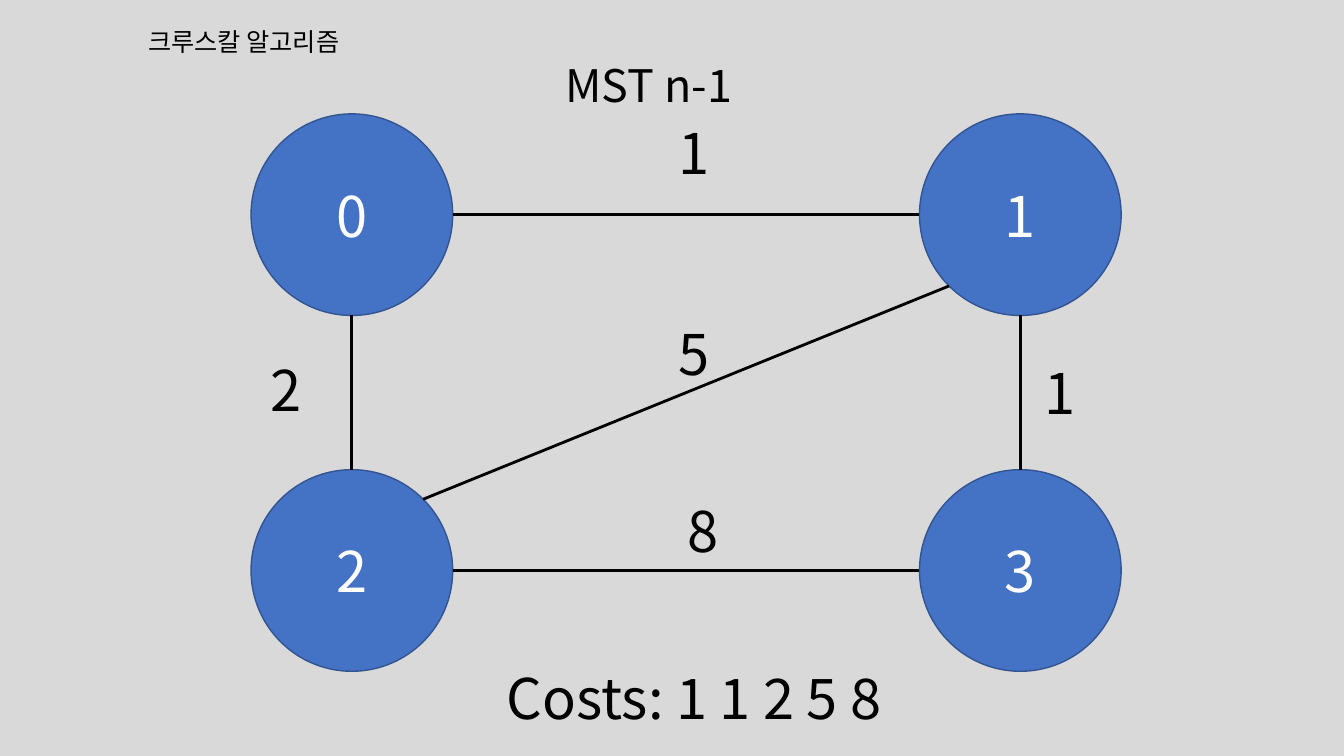
from math import hypot

from lxml.etree import SubElement
from pptx import Presentation
from pptx.dml.color import RGBColor
from pptx.enum.shapes import MSO_CONNECTOR, MSO_SHAPE
from pptx.enum.text import MSO_ANCHOR, MSO_AUTO_SIZE, PP_ALIGN
from pptx.oxml.ns import qn
from pptx.util import Inches, Pt

FONT = "Noto Sans CJK KR"
GRAY = RGBColor(0xD9, 0xD9, 0xD9)
BLUE = RGBColor(0x44, 0x72, 0xC4)
DARK_BLUE = RGBColor(0x32, 0x54, 0x91)
BLACK = RGBColor(0, 0, 0)
WHITE = RGBColor(0xFF, 0xFF, 0xFF)

DIAMETER = 2
LEFT, RIGHT, TOP, BOTTOM = 3.49, 10.12, 2.13, 5.66
NODE_CENTERS = {
    "0": (LEFT, TOP),
    "1": (RIGHT, TOP),
    "2": (LEFT, BOTTOM),
    "3": (RIGHT, BOTTOM),
}
EDGES = [
    ("0", "1", "1", (6.23, 1.13)),
    ("0", "2", "2", (2.19, 3.48)),
    ("1", "2", "5", (6.23, 3.12)),
    ("1", "3", "1", (9.86, 3.51)),
    ("2", "3", "8", (6.32, 4.88)),
]
COST_SIZE = (1.3, 0.77)
CAPTIONS = [
    ("Costs: 1 1 2 5 8", (2.76, 6.53, 8.25, 0.77), 40, PP_ALIGN.CENTER),
    ("MST n-1", (5.51, 0.52, 3.61, 0.64), 32, PP_ALIGN.LEFT),
    ("크루스칼 알고리즘", (1.37, 0.21, 4.28, 0.4), 18, PP_ALIGN.LEFT),
]


def set_text(shape, text, size, color, alignment):
    shape.text_frame.text = text
    paragraph = shape.text_frame.paragraphs[0]
    paragraph.alignment = alignment
    font = paragraph.runs[0].font
    font.size = Pt(size)
    font.color.rgb = color
    font.name = FONT
    properties = paragraph.runs[0]._r.get_or_add_rPr()
    SubElement(properties, qn("a:ea")).set("typeface", FONT)


def add_label(slide, text, box, size, alignment):
    label = slide.shapes.add_textbox(*map(Inches, box))
    label.text_frame.word_wrap = True
    label.text_frame.auto_size = MSO_AUTO_SIZE.SHAPE_TO_FIT_TEXT
    set_text(label, text, size, BLACK, alignment)


def add_node(slide, name, center):
    x, y = center
    radius = DIAMETER / 2
    box = (x - radius, y - radius, DIAMETER, DIAMETER)
    node = slide.shapes.add_shape(MSO_SHAPE.OVAL, *map(Inches, box))
    node.shadow.inherit = False
    node.fill.solid()
    node.fill.fore_color.rgb = BLUE
    node.line.color.rgb = DARK_BLUE
    node.line.width = Pt(1)
    node.text_frame.vertical_anchor = MSO_ANCHOR.MIDDLE
    set_text(node, name, 40, WHITE, PP_ALIGN.CENTER)


def rim_point(center, target):
    x_step, y_step = [(b > a) - (b < a) for a, b in zip(center, target)]
    scale = DIAMETER / 2 / hypot(x_step, y_step)
    return center[0] + x_step * scale, center[1] + y_step * scale


def add_edge(slide, start, end):
    points = (*rim_point(start, end), *rim_point(end, start))
    edge = slide.shapes.add_connector(MSO_CONNECTOR.STRAIGHT, *map(Inches, points))
    edge.line.color.rgb = BLACK
    edge.line.width = Pt(2)
    SubElement(edge._element.spPr, qn("a:effectLst"))


presentation = Presentation()
presentation.slide_width = Inches(13.33)
presentation.slide_height = Inches(7.5)
slide = presentation.slides.add_slide(presentation.slide_layouts[6])
slide.background.fill.solid()
slide.background.fill.fore_color.rgb = GRAY

for name, center in NODE_CENTERS.items():
    add_node(slide, name, center)

for start, end, cost, position in EDGES:
    add_edge(slide, NODE_CENTERS[start], NODE_CENTERS[end])
    add_label(slide, cost, position + COST_SIZE, 40, PP_ALIGN.CENTER)

for text, box, size, alignment in CAPTIONS:
    add_label(slide, text, box, size, alignment)

presentation.save("out.pptx")
